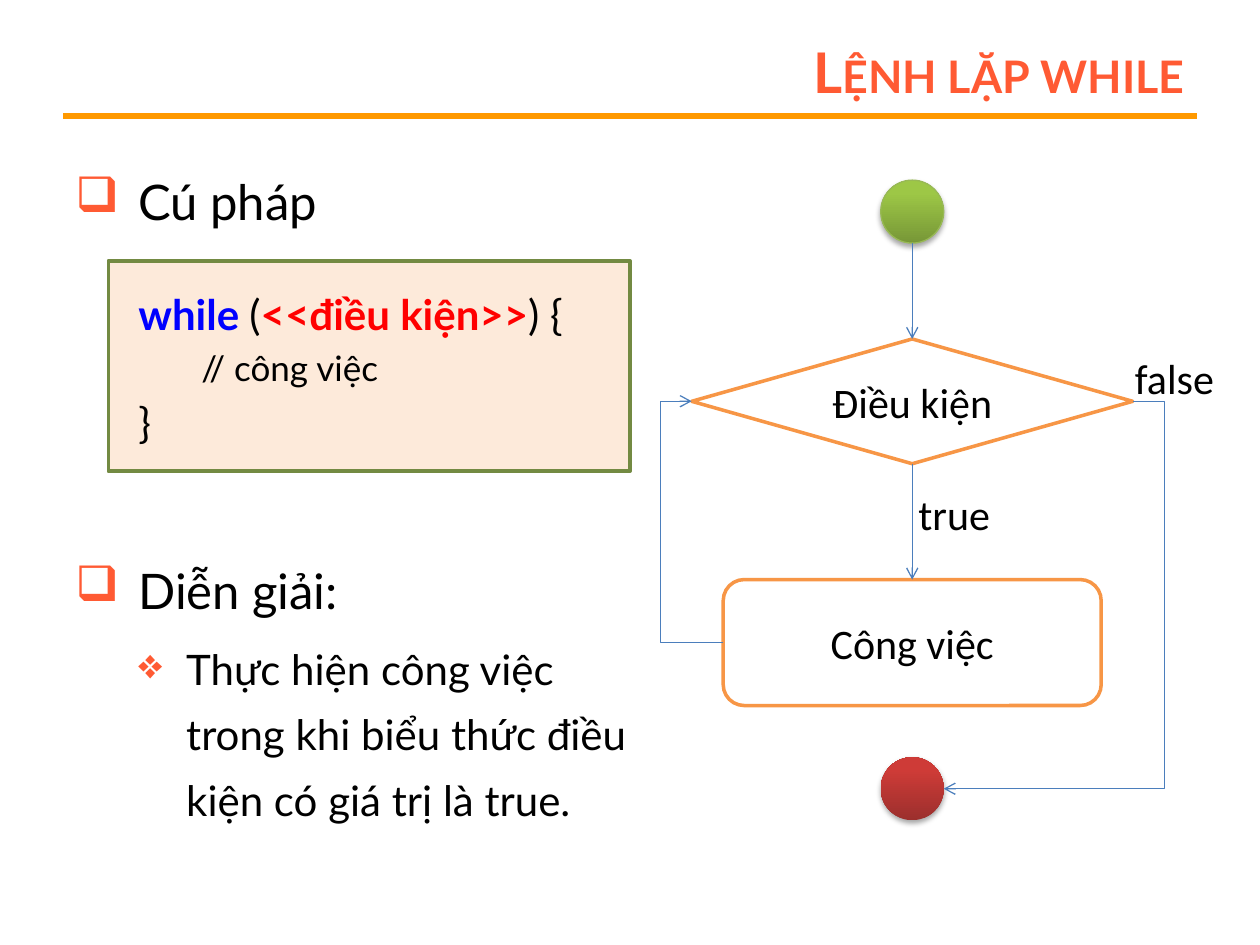
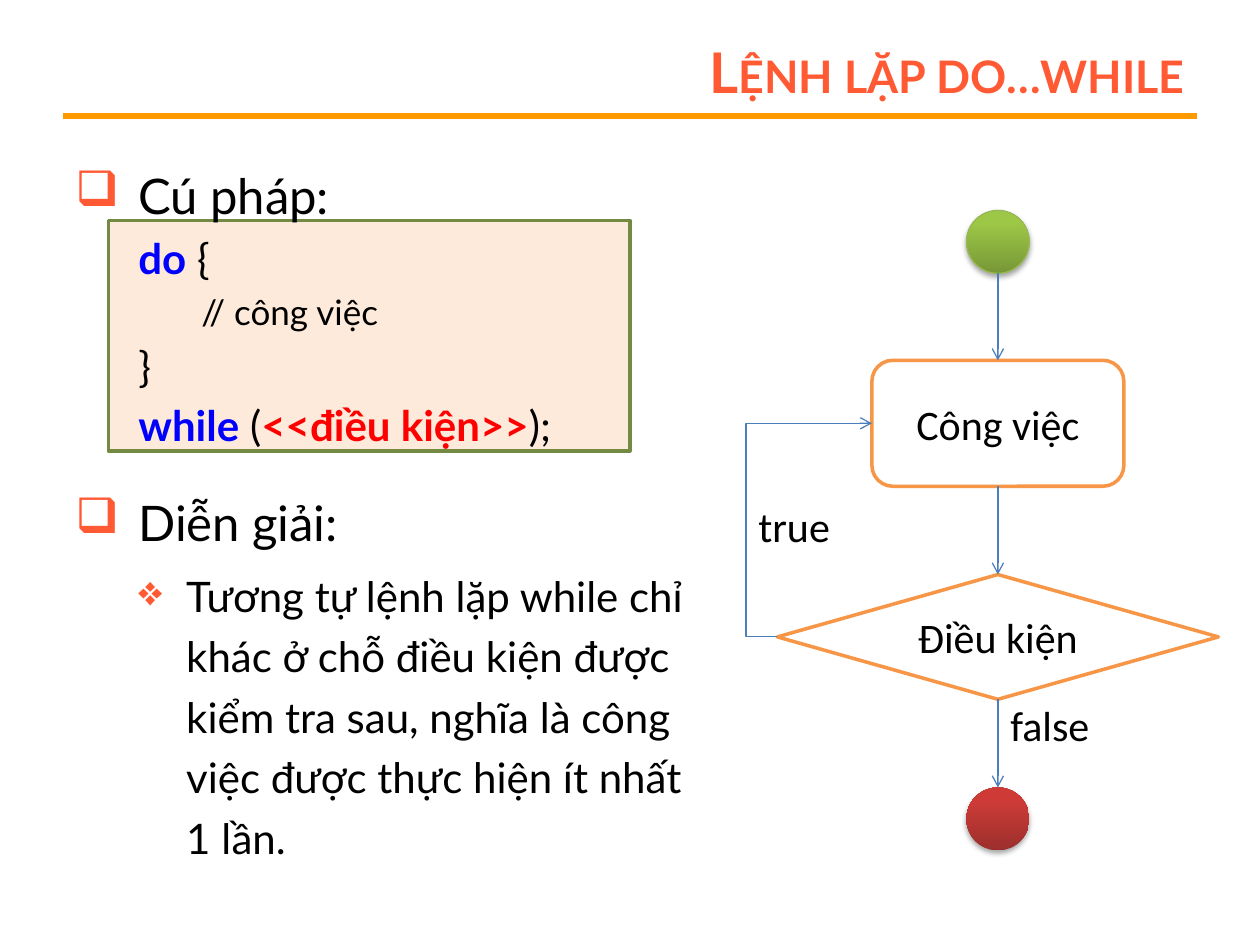
from lxml import etree
from pptx import Presentation
from pptx.dml.color import RGBColor
from pptx.enum.shapes import MSO_CONNECTOR, MSO_SHAPE
from pptx.enum.text import MSO_ANCHOR, PP_ALIGN
from pptx.oxml.ns import qn
from pptx.util import Inches, Pt

STRAIGHT, ELBOW = MSO_CONNECTOR.STRAIGHT, MSO_CONNECTOR.ELBOW
RECT, ROUNDED = MSO_SHAPE.RECTANGLE, MSO_SHAPE.ROUNDED_RECTANGLE
OVAL, DECISION = MSO_SHAPE.OVAL, MSO_SHAPE.FLOWCHART_DECISION
MIDDLE, RIGHT, CENTER = MSO_ANCHOR.MIDDLE, PP_ALIGN.RIGHT, PP_ALIGN.CENTER

BLACK, WHITE = "000000", "FFFFFF"
ACCENT, RULE = "FF5A33", "FF9900"
CODE_FILL, CODE_EDGE = "FDEADA", "738A42"
KEYWORD, CONDITION = "0000FF", "FF0000"
NODE_EDGE, FLOW = "F79646", "4B7EBC"
START_GRADIENT, END_GRADIENT = ("779737", "9DC746"), ("9C2F2D", "CE3B37")
BODY_FONT, NODE_FONT = "Lato", "Calibri"

DOT = 0.5              # diameter of the start and end dots
DETOUR = Inches(0.25)  # how far a bent arrow swings out


def rgb(value):
    return RGBColor.from_string(value)


def add_xml(parent, tag, **attributes):
    return etree.SubElement(parent, qn(tag), attributes)


# Text
def add_span(para, text, size=24, color=BLACK, bold=False, font=BODY_FONT,
             small_caps=False):
    span = para.add_run()
    span.text = text
    span.font.size, span.font.name = Pt(size), font
    span.font.bold, span.font.color.rgb = bold, rgb(color)
    if small_caps:
        span.font._element.set("cap", "small")


def add_para(frame, spans, size, left=0.5, hanging=0, bullet=None,
             spacing=1.0, before=None):
    first = frame.paragraphs[0]
    para = frame.add_paragraph() if first.runs else first
    para.line_spacing = spacing
    para.space_before = Pt(0.2 * size if before is None else before)
    properties = para._p.get_or_add_pPr()
    properties.set("marL", str(Inches(left)))
    properties.set("indent", str(-Inches(hanging)))
    if bullet:
        add_xml(add_xml(properties, "a:buClr"), "a:srgbClr", val=ACCENT)
        add_xml(properties, "a:buChar", char=bullet)
    for text, style in spans:
        add_span(para, text, size=size, **style)


def add_heading(frame, text, spacing, before=None):
    add_para(frame, [(text, {})], 28, hanging=0.5, bullet="❑",
             spacing=spacing, before=before)


def add_point(frame, text, spacing):
    add_para(frame, [(text, {})], 24, left=0.88, hanging=0.38, bullet="❖",
             spacing=spacing)


def add_code(frame, *spans, before=None):
    add_para(frame, spans, 24, before=before)


def add_comment(frame, text):
    add_para(frame, [(text, {})], 20, left=1)


def keyword(text):
    return text, {"color": KEYWORD, "bold": True}


def condition(text):
    return text, {"color": CONDITION, "bold": True}


def plain(text):
    return text, {}


# Shapes
def add_box(page, kind, left, top, width, height, fill, edge, text=None):
    box = page.shapes.add_shape(kind, Inches(left), Inches(top),
                                Inches(width), Inches(height))
    box.shadow.inherit = False
    box.fill.solid()
    box.fill.fore_color.rgb = rgb(fill)
    box.line.color.rgb, box.line.width = rgb(edge), Pt(2)
    if text:
        box.text_frame.vertical_anchor = MIDDLE
        para = box.text_frame.paragraphs[0]
        para.alignment = CENTER
        add_span(para, text, font=NODE_FONT)
    return box


def add_node(page, kind, center, top, width, height, text):
    return add_box(page, kind, center - width / 2, top, width, height,
                   WHITE, NODE_EDGE, text)


def add_dot(page, center, top, gradient, edge=None):
    dot = page.shapes.add_shape(OVAL, Inches(center - DOT / 2), Inches(top),
                                Inches(DOT), Inches(DOT))
    dot.fill.gradient()
    dot.fill.gradient_angle = 90
    for stop, color, position in zip(dot.fill.gradient_stops, gradient, (0, 0.8)):
        stop.color.rgb, stop.position = rgb(color), position
    if edge:
        dot.line.color.rgb, dot.line.width = rgb(edge), Pt(0.75)
    else:
        dot.line.fill.background()
    # Soft shadow straight below
    dot.shadow.inherit = False
    effects = dot.element.spPr.find(qn("a:effectLst"))
    shadow = add_xml(effects, "a:outerShdw", blurRad=str(Pt(3.1)),
                     dist=str(Pt(1.8)), dir="5400000", rotWithShape="0")
    add_xml(add_xml(shadow, "a:srgbClr", val=BLACK), "a:alpha", val="35000")
    return dot


def add_label(page, text, left, top, width):
    label = page.shapes.add_textbox(Inches(left), Inches(top),
                                    Inches(width), Inches(0.5))
    label.text_frame.word_wrap = False
    add_span(label.text_frame.paragraphs[0], text, font=NODE_FONT)


# Lines and arrows
def add_line(page, start, end, color, width, kind=STRAIGHT):
    line = page.shapes.add_connector(kind, *start, *end)
    line.line.color.rgb, line.line.width = rgb(color), Pt(width)
    add_xml(line.element.spPr, "a:effectLst")
    return line


def side(shape, name):
    middle_x = shape.left + shape.width // 2
    middle_y = shape.top + shape.height // 2
    return {"top": (middle_x, shape.top),
            "bottom": (middle_x, shape.top + shape.height),
            "left": (shape.left, middle_y),
            "right": (shape.left + shape.width, middle_y)}[name]


def add_arrow(page, start, end, kind=STRAIGHT):
    arrow = add_line(page, start, end, FLOW, 0.75, kind)
    add_xml(arrow.element.spPr.get_or_add_ln(), "a:tailEnd", type="arrow")
    return arrow


def add_down_arrow(page, upper, lower):
    add_arrow(page, side(upper, "bottom"), side(lower, "top"))


def add_bent_arrow(page, start, end, bend_x):
    arrow = add_arrow(page, start, end, ELBOW)
    ratio = (bend_x - start[0]) / (end[0] - start[0])
    guides = arrow.element.spPr.find(qn("a:prstGeom")).find(qn("a:avLst"))
    add_xml(guides, "a:gd", name="adj1", fmla=f"val {round(ratio * 100000)}")


# Parts shared by both slides
def add_page(deck, title):
    page = deck.slides.add_slide(deck.slide_layouts[5])
    add_line(page, (Inches(0.5), Inches(0.92)), (Inches(9.5), Inches(0.92)),
             RULE, 3)
    box = page.shapes.title
    box.left, box.top = Inches(2.25), Inches(0.3)
    box.width, box.height = Inches(7.25), Inches(0.53)
    box.text_frame.vertical_anchor = MIDDLE
    para = box.text_frame.paragraphs[0]
    para.alignment = RIGHT
    add_span(para, title, size=32, color=ACCENT, bold=True, small_caps=True)
    return page


def add_body(page, width, height, code_top, code_height):
    add_box(page, RECT, 0.86, code_top, 4.14, code_height, CODE_FILL, CODE_EDGE)
    body = page.shapes.add_textbox(Inches(0.5), Inches(1.17),
                                   Inches(width), Inches(height))
    body.text_frame.word_wrap = True
    return body.text_frame


def add_flow_nodes(page, center, start_top, end_top, test_top, work_top, work_width):
    start = add_dot(page, center, start_top, START_GRADIENT, "98B955")
    end = add_dot(page, center, end_top, END_GRADIENT)
    test = add_node(page, DECISION, center, test_top, 3.5, 0.99, "Điều kiện")
    work = add_node(page, ROUNDED, center, work_top, work_width, 1, "Công việc")
    return start, end, test, work


def build_while(deck):
    page = add_page(deck, "Lệnh lặp while")
    body = add_body(page, 4.67, 5.75, 2.07, 1.67)
    add_heading(body, "Cú pháp", 1.3)
    add_code(body, keyword("while "), plain("("), condition("<<điều kiện>>"),
             plain(") {"), before=33.6)
    add_comment(body, "// công việc")
    add_code(body, plain("}"))
    add_heading(body, "Diễn giải:", 1.3, before=55)
    add_point(body, "Thực hiện công việc trong khi biểu thức điều kiện "
                    "có giá trị là true.", 1.3)

    start, end, test, work = add_flow_nodes(page, 7.24, 1.43, 6.01, 2.69, 4.6, 3)
    add_down_arrow(page, start, test)
    add_down_arrow(page, test, work)
    add_bent_arrow(page, side(work, "left"), side(test, "left"), test.left - DETOUR)
    add_bent_arrow(page, side(test, "right"), side(end, "right"),
                   test.left + test.width + DETOUR)
    add_label(page, "true", 7.19, 3.83, 0.78)
    add_label(page, "false", 8.91, 2.75, 0.84)


def build_do_while(deck):
    page = add_page(deck, "Lệnh lặp do…while")
    body = add_body(page, 5.17, 5.92, 1.75, 1.83)
    add_heading(body, "Cú pháp:", 1.2)
    add_code(body, keyword("do"), plain(" {"))
    add_comment(body, "// công việc")
    add_code(body, plain("}"))
    add_code(body, keyword("while"), plain(" ("), condition("<<điều kiện>>"),
             plain(");"))
    add_heading(body, "Diễn giải:", 1.2, before=18)
    add_point(body, "Tương tự lệnh lặp while chỉ khác ở chỗ điều kiện được kiểm tra "
                    "sau, nghĩa là công việc được thực hiện ít nhất 1 lần.", 1.2)

    start, end, test, work = add_flow_nodes(page, 7.92, 1.67, 6.25, 4.56, 2.86, 2)
    add_down_arrow(page, start, work)
    add_down_arrow(page, work, test)
    add_down_arrow(page, test, end)
    add_bent_arrow(page, side(test, "left"), side(work, "left"), test.left - DETOUR)
    add_label(page, "true", 5.92, 3.92, 0.78)
    add_label(page, "false", 7.92, 5.5, 0.84)


def main():
    deck = Presentation()
    deck.slide_width, deck.slide_height = Inches(10), Inches(7.5)
    build_while(deck)
    build_do_while(deck)
    deck.save("out.pptx")


if __name__ == "__main__":
    main()
